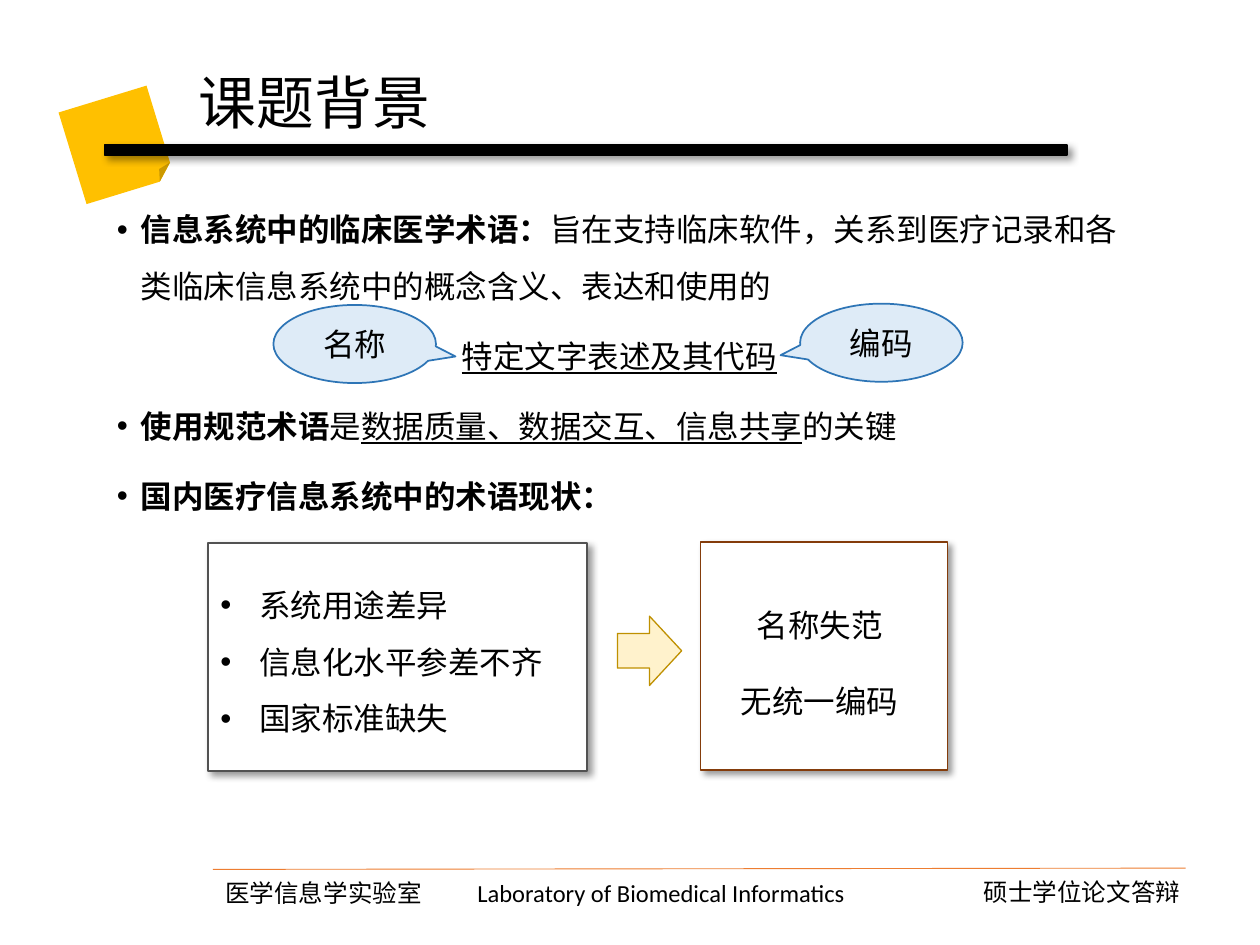
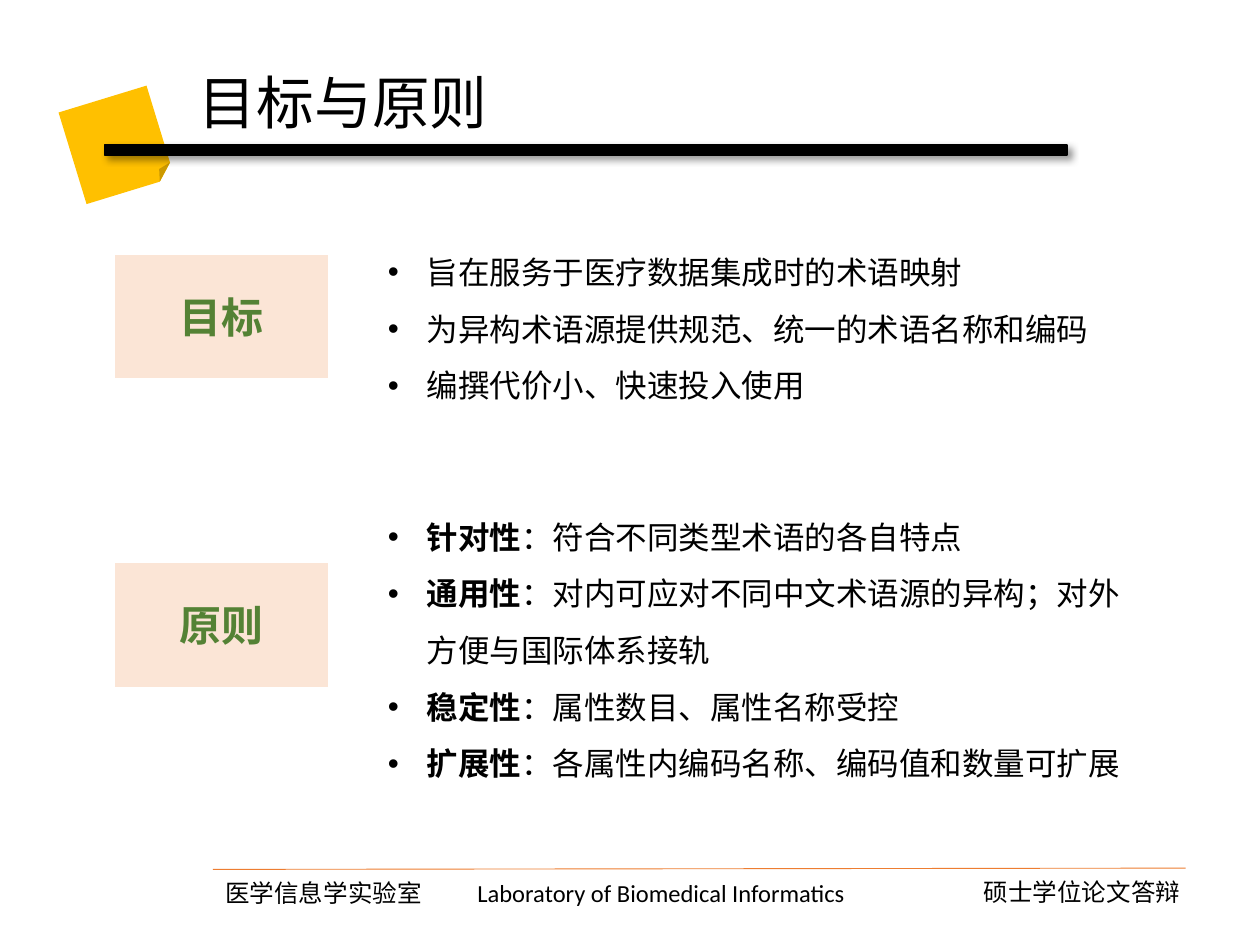
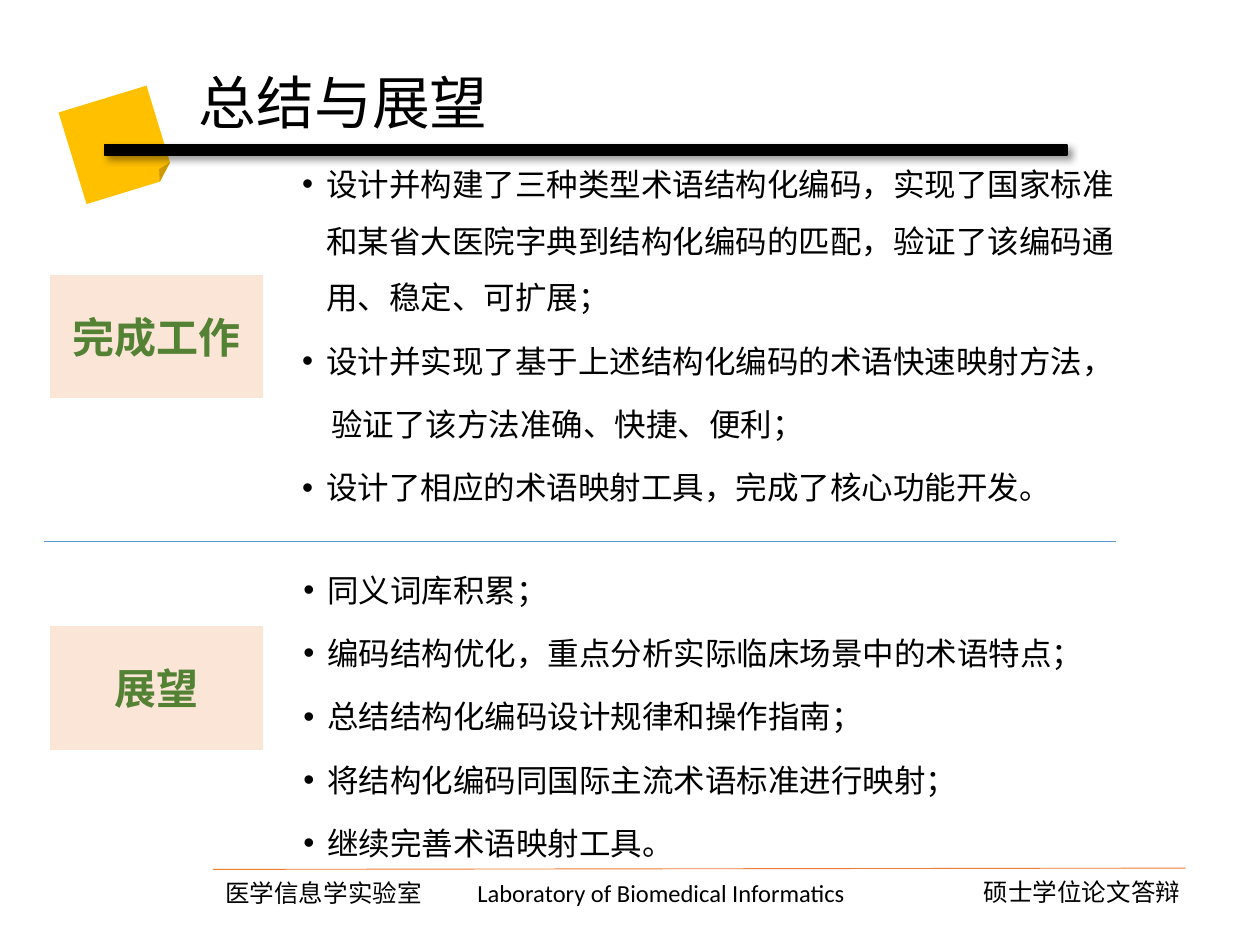
from lxml import etree
from pptx import Presentation
from pptx.dml.color import RGBColor
from pptx.enum.shapes import MSO_CONNECTOR, MSO_SHAPE
from pptx.enum.text import MSO_ANCHOR, PP_ALIGN
from pptx.oxml.ns import qn
from pptx.util import Inches, Pt

RECT, PROCESS = MSO_SHAPE.RECTANGLE, MSO_SHAPE.FLOWCHART_PROCESS
NOTE, ARROW = MSO_SHAPE.FOLDED_CORNER, MSO_SHAPE.RIGHT_ARROW
CALLOUT = MSO_SHAPE.OVAL_CALLOUT
LINE = MSO_CONNECTOR.STRAIGHT
MIDDLE, TOP = MSO_ANCHOR.MIDDLE, MSO_ANCHOR.TOP
CENTER, LEFT = PP_ALIGN.CENTER, PP_ALIGN.LEFT
BLACK, WHITE, GOLD, ORANGE = "000000", "FFFFFF", "FFC000", "ED7D31"
PEACH, GREEN, BLUE = "FBE5D6", "548235", "5B9BD5"

prs = Presentation()
prs.slide_width, prs.slide_height = Inches(10), Inches(7.5)
COL = prs.slide_width // 100
ROW = prs.slide_height // 75


def draw(s, kind, x, y, w, h, fill=None, line=None, width=1, shadow=False, anchor=TOP):
    x, y, w, h = round(x * COL), round(y * ROW), round(w * COL), round(h * ROW)
    if kind is None:
        sp = s.shapes.add_textbox(x, y, w, h)
    elif kind is LINE:
        sp = s.shapes.add_connector(LINE, x, y, x + w, y + h)
    else:
        sp = s.shapes.add_shape(kind, x, y, w, h)
        sp.shadow.inherit = False
    if fill:
        sp.fill.solid()
        sp.fill.fore_color.rgb = RGBColor.from_string(fill)
    if line:
        sp.line.color.rgb = RGBColor.from_string(line)
        sp.line.width = Pt(width)
    elif kind is not None:
        sp.line.fill.background()
    if kind is LINE:
        etree.SubElement(sp._element.spPr, qn("a:effectLst"))
        return sp
    if shadow:
        effects = sp._element.spPr.find(qn("a:effectLst"))
        outer = etree.SubElement(effects, qn("a:outerShdw"), blurRad=str(Pt(4)),
                                 dist=str(Pt(3)), dir="2700000", algn="tl", rotWithShape="0")
        color = etree.SubElement(outer, qn("a:srgbClr"), val=BLACK)
        etree.SubElement(color, qn("a:alpha"), val="40000")
    sp.text_frame.word_wrap = True
    sp.text_frame.vertical_anchor = anchor
    return sp


def write(sp, text, size=18, color=BLACK, font="Calibri", align=LEFT, spacing=None,
          before=0, indent=0, hang=0, tab=None):
    tf = sp.text_frame
    p = tf.add_paragraph() if tf.text else tf.paragraphs[0]
    p.alignment, p.line_spacing, p.space_before = align, spacing, Pt(before)
    pPr = p._p.get_or_add_pPr()
    pPr.set("marL", str(round(indent * COL)))
    pPr.set("indent", str(round(-hang * COL)))
    if hang:
        etree.SubElement(pPr, qn("a:buFont"), typeface="Arial")
        etree.SubElement(pPr, qn("a:buChar"), char="•")
    if tab:
        tabs = etree.SubElement(pPr, qn("a:tabLst"))
        etree.SubElement(tabs, qn("a:tab"), pos=str(round(tab * COL)), algn="l")
    for i, weighted in enumerate(text.split("*")):
        for j, piece in enumerate(weighted.split("_")):
            if piece:
                r = p.add_run()
                r.text = piece
                r.font.name, r.font.size = font, Pt(size)
                r.font.color.rgb = RGBColor.from_string(color)
                r.font.bold, r.font.underline = i % 2 == 1, j % 2 == 1


for title in ["课题背景", "目标与原则", "总结与展望"]:
    s = prs.slides.add_slide(prs.slide_layouts[6])
    draw(s, NOTE, 5.6, 7.7, 7.3, 7.6, GOLD).rotation = 343
    draw(s, RECT, 8.3, 11.5, 76.4, 0.8, BLACK, BLACK, shadow=True)
    draw(s, LINE, 16.9, 69, 77.2, -0.1, line=ORANGE, width=0.5)
    write(draw(s, None, 16.9, 69.2, 63.6, 3.4),
          "医学信息学实验室\tLaboratory of Biomedical Informatics", size=14, tab=17.3)
    write(draw(s, None, 77.1, 69.1, 22.6, 3.4), "硕士学位论文答辩", size=14)
    write(draw(s, None, 14.8, 0.5, 87.9, 15.8, anchor=MIDDLE), title, size=33, spacing=0.9)

background, goals, summary = prs.slides

body = draw(background, None, 8.3, 14.7, 81.7, 54.3)
for text, align, hang in [
    ("*信息系统中的临床医学术语：*旨在支持临床软件，关系到医疗记录和各类临床信息系统中的概念含义、表达和使用的", LEFT, 1.9),
    ("_特定文字表述及其代码_", CENTER, 0),
    ("*使用规范术语*是_数据质量、数据交互、信息共享_的关键", LEFT, 1.9),
    ("*国内医疗信息系统中的术语现状：*", LEFT, 1.9),
]:
    write(body, text, align=align, spacing=1.5, before=7.5, indent=hang, hang=hang)

draw(background, ARROW, 49, 48.9, 5.1, 5.5, "FFF2CC", "BF9000", 0.75)
for text, x, y, tip in [("名称", 21.7, 24.2, 0.62), ("编码", 63.5, 24.1, -0.62)]:
    sp = draw(background, CALLOUT, x, y, 12.9, 6.2, "DEEBF7", "2E75B6", anchor=MIDDLE)
    sp.adjustments[0], sp.adjustments[1] = tip, 0.16
    write(sp, text, align=CENTER)

draw(background, RECT, 55.6, 43, 19.6, 18.1, WHITE, "843C0B", shadow=True)
effects = draw(background, None, 55.6, 44.6, 18.9, 12.2)
for text in ["名称失范", "无统一编码"]:
    write(effects, text, align=CENTER, spacing=2)
draw(background, RECT, 16.5, 43.1, 30.1, 18.1, WHITE, "525252", shadow=True)
causes = draw(background, None, 16.5, 44.5, 29.1, 12.2)
for text in ["系统用途差异", "信息化水平参差不齐", "国家标准缺失"]:
    write(causes, text, spacing=1.5, indent=3.1, hang=3.1)

for s, text, x, y in [(goals, "目标", 9.1, 20.2), (goals, "原则", 9.1, 44.7),
                      (summary, "完成工作", 4, 21.8), (summary, "展望", 4, 49.7)]:
    sp = draw(s, PROCESS, x, y, 16.9, 9.8, PEACH, anchor=MIDDLE)
    write(sp, f"*{text}*", size=24, color=GREEN, align=CENTER)

aims = draw(goals, None, 29.8, 18.1, 60.4, 14.6)
for text in ["旨在服务于医疗数据集成时的术语映射",
             "为异构术语源提供规范、统一的术语名称和编码",
             "编撰代价小、快速投入使用"]:
    write(aims, text, font="Times New Roman", spacing=1.5, indent=3.1, hang=3.1)
principles = draw(goals, None, 24.8, 39.1, 66.1, 23.7)
for text in ["*针对性*：符合不同类型术语的各自特点",
             "*通用性*：对内可应对不同中文术语源的异构；对外方便与国际体系接轨",
             "*稳定性*：属性数目、属性名称受控",
             "*扩展性*：各属性内编码名称、编码值和数量可扩展"]:
    write(principles, text, spacing=1.5, indent=8.1, hang=3.1)

done = draw(summary, None, 19.3, 11.1, 71.7, 34.3)
for text, indent, hang in [
    ("设计并构建了三种类型术语结构化编码，实现了国家标准和某省大医院字典到结构化编码的匹配，验证了该编码通用、稳定、可扩展；", 5.6, 1.9),
    ("设计并实现了基于上述结构化编码的术语快速映射方法，", 5.6, 1.9),
    ("验证了该方法准确、快捷、便利；", 6, 0),
    ("设计了相应的术语映射工具，完成了核心功能开发。", 5.6, 1.9),
]:
    write(done, text, spacing=1.5, before=3.8, indent=indent, hang=hang)
outlook = draw(summary, None, 19.4, 43.3, 74, 28.3)
for text in ["同义词库积累；",
             "编码结构优化，重点分析实际临床场景中的术语特点；",
             "总结结构化编码设计规律和操作指南；",
             "将结构化编码同国际主流术语标准进行映射；",
             "继续完善术语映射工具。"]:
    write(outlook, text, spacing=1.5, before=3.8, indent=5.6, hang=1.9)
draw(summary, LINE, 3.5, 43, 85.1, 0, line=BLUE, width=0.5)

prs.save("out.pptx")
